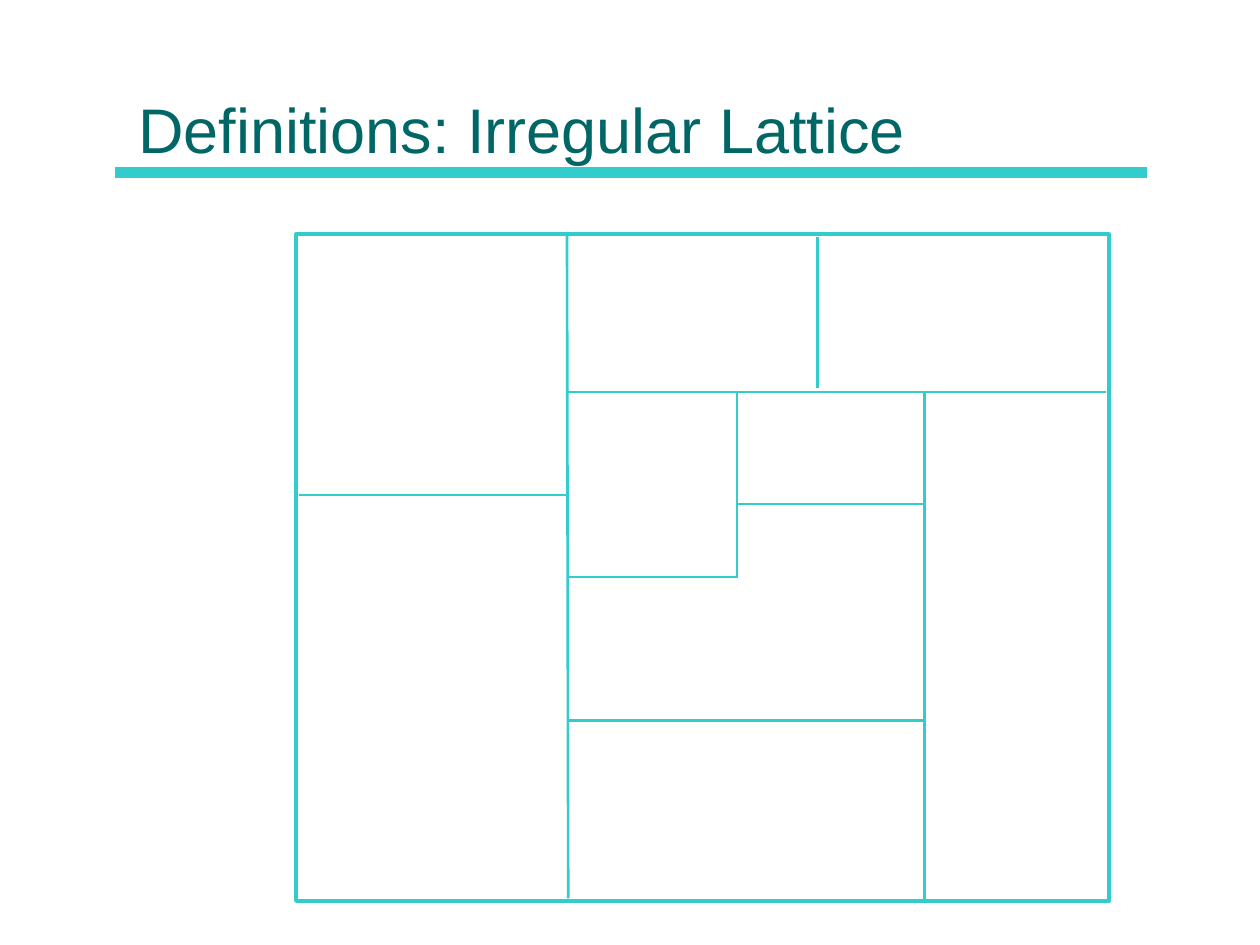
from lxml.etree import SubElement
from pptx import Presentation
from pptx.dml.color import RGBColor
from pptx.enum.shapes import MSO_CONNECTOR, MSO_SHAPE
from pptx.enum.text import MSO_ANCHOR
from pptx.oxml.ns import qn
from pptx.util import Inches, Pt

COLORS = {"title": "006666", "line": "33CCCC"}

# Cell walls as (x1, y1, x2, y2), in inches from the frame's top left corner
WALLS = [
    (2.15, -0.02, 2.16, 5.27),
    (0.02, 2.07, 2.17, 2.07),
    (2.15, 1.25, 6.43, 1.25),
    (4.14, 0.02, 4.14, 1.22),
    (3.5, 1.25, 3.5, 2.73),
    (3.51, 2.72, 2.15, 2.72),
    (4.99, 1.26, 4.99, 5.29),
    (3.51, 2.14, 4.99, 2.14),
    (2.15, 3.86, 4.98, 3.86),
]


def color(name):
    return RGBColor.from_string(COLORS[name])


def add_line(shapes, x1, y1, x2, y2, width):
    ends = [Inches(v) for v in (x1, y1, x2, y2)]
    line = shapes.add_connector(MSO_CONNECTOR.STRAIGHT, *ends)
    line.line.color.rgb = color("line")
    line.line.width = Pt(width)
    SubElement(line._element.spPr, qn("a:effectLst"))


def add_title(slide, text, left, top, width, height):
    """Place the title with its rule along the bottom of the box."""
    base = top + height
    add_line(slide.shapes, left - 0.09, base, left + width + 0.1, base, 6)
    box = slide.shapes.add_textbox(
        Inches(left), Inches(top), Inches(width), Inches(height))
    frame = box.text_frame
    frame.word_wrap = True
    frame.vertical_anchor = MSO_ANCHOR.BOTTOM
    frame.text = text
    font = frame.paragraphs[0].runs[0].font
    font.name = "Arial"
    font.size = Pt(36)
    font.color.rgb = color("title")


def add_lattice(slide, left, top, width, height):
    """Draw the outer frame and the walls between its cells."""
    group = slide.shapes.add_group_shape()
    frame = group.shapes.add_shape(
        MSO_SHAPE.RECTANGLE,
        Inches(left), Inches(top), Inches(width), Inches(height))
    frame.shadow.inherit = False
    frame.fill.background()
    frame.line.color.rgb = color("line")
    frame.line.width = Pt(2.25)
    for x1, y1, x2, y2 in WALLS:
        add_line(group.shapes, left + x1, top + y1, left + x2, top + y2, 1.5)


def main():
    deck = Presentation()
    deck.slide_width = Inches(10)
    deck.slide_height = Inches(7.5)
    slide = deck.slides.add_slide(deck.slide_layouts[6])
    add_title(slide, "Definitions: Irregular Lattice", 1, 0.12, 8, 1.25)
    add_lattice(slide, 2.35, 1.86, 6.45, 5.29)
    deck.save("out.pptx")


if __name__ == "__main__":
    main()
